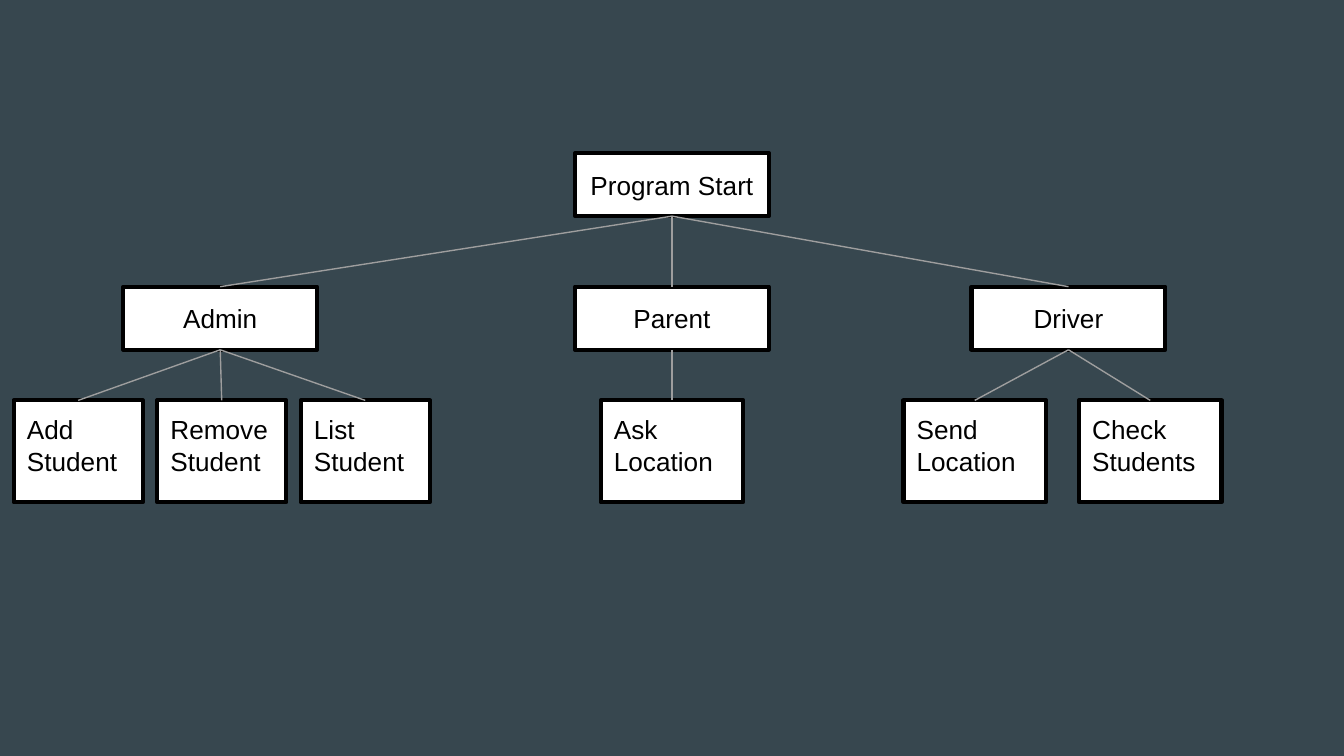
from pptx import Presentation
from pptx.dml.color import RGBColor
from pptx.enum.shapes import MSO_CONNECTOR, MSO_SHAPE
from pptx.enum.text import MSO_ANCHOR, PP_ALIGN
from pptx.oxml.ns import qn
from pptx.util import Pt
from lxml import etree

RECT = MSO_SHAPE.RECTANGLE
LINE = MSO_CONNECTOR.STRAIGHT
TOP, MIDDLE = MSO_ANCHOR.TOP, MSO_ANCHOR.MIDDLE
LEFT, CENTER = PP_ALIGN.LEFT, PP_ALIGN.CENTER

SLATE = RGBColor(0x37, 0x47, 0x4F)
WHITE = RGBColor(0xFF, 0xFF, 0xFF)
BLACK = RGBColor(0x00, 0x00, 0x00)
GRAY = RGBColor(0x9E, 0x9E, 0x9E)

ROLE_W, ROLE_H = 103.8, 33.8
LEAF_H = 54.6
ROOT_Y, ROLE_Y, LEAF_Y = 82, 153.6, 214.5
MID = 360

ROLES = [
    ("Parent", MID, 76.4, [("Ask\nLocation", MID)]),
    ("Admin", 118, 69.2, [
        ("Add Student", 41.9),
        ("Remove\nStudent", 118.8),
        ("List\nStudent", 195.7),
    ]),
    ("Driver", 572.4, 76.4, [
        ("Send\nLocation", 522.2),
        ("Check\nStudents", 616.2),
    ]),
]


def add_box(slide, text, mid, top, width, height, align, anchor):
    box = slide.shapes.add_shape(
        RECT, Pt(mid - width / 2), Pt(top), Pt(width), Pt(height))
    box.shadow.inherit = False
    box.fill.solid()
    box.fill.fore_color.rgb = WHITE
    box.line.color.rgb = BLACK
    box.line.width = Pt(2.25)
    frame = box.text_frame
    frame.word_wrap = True
    frame.vertical_anchor = anchor
    frame.margin_left = frame.margin_right = Pt(7.2)
    frame.margin_top = frame.margin_bottom = Pt(7.2)
    frame.text = text
    for para in frame.paragraphs:
        para.alignment = align
        for run in para.runs:
            run.font.name = "Arial"
            run.font.size = Pt(14)
            run.font.color.rgb = BLACK
    return box


def add_role(slide, text, mid, top):
    return add_box(slide, text, mid, top, ROLE_W, ROLE_H, CENTER, MIDDLE)


def add_leaf(slide, text, mid, width):
    return add_box(slide, text, mid, LEAF_Y, width, LEAF_H, LEFT, TOP)


def add_link(slide, upper, lower):
    link = slide.shapes.add_connector(LINE, Pt(0), Pt(0), Pt(0), Pt(0))
    link.begin_connect(upper, 2)
    link.end_connect(lower, 0)
    link.line.color.rgb = GRAY
    link.line.width = Pt(0.75)
    etree.SubElement(link._element.spPr, qn("a:effectLst"))


def main():
    deck = Presentation()
    deck.slide_width, deck.slide_height = Pt(720), Pt(405)
    slide = deck.slides.add_slide(deck.slide_layouts[6])
    slide.background.fill.solid()
    slide.background.fill.fore_color.rgb = SLATE

    root = add_role(slide, "Program Start", MID, ROOT_Y)
    for name, mid, width, leaves in ROLES:
        role = add_role(slide, name, mid, ROLE_Y)
        add_link(slide, root, role)
        for text, spot in leaves:
            leaf = add_leaf(slide, text, spot, width)
            add_link(slide, role, leaf)

    deck.save("out.pptx")


if __name__ == "__main__":
    main()
